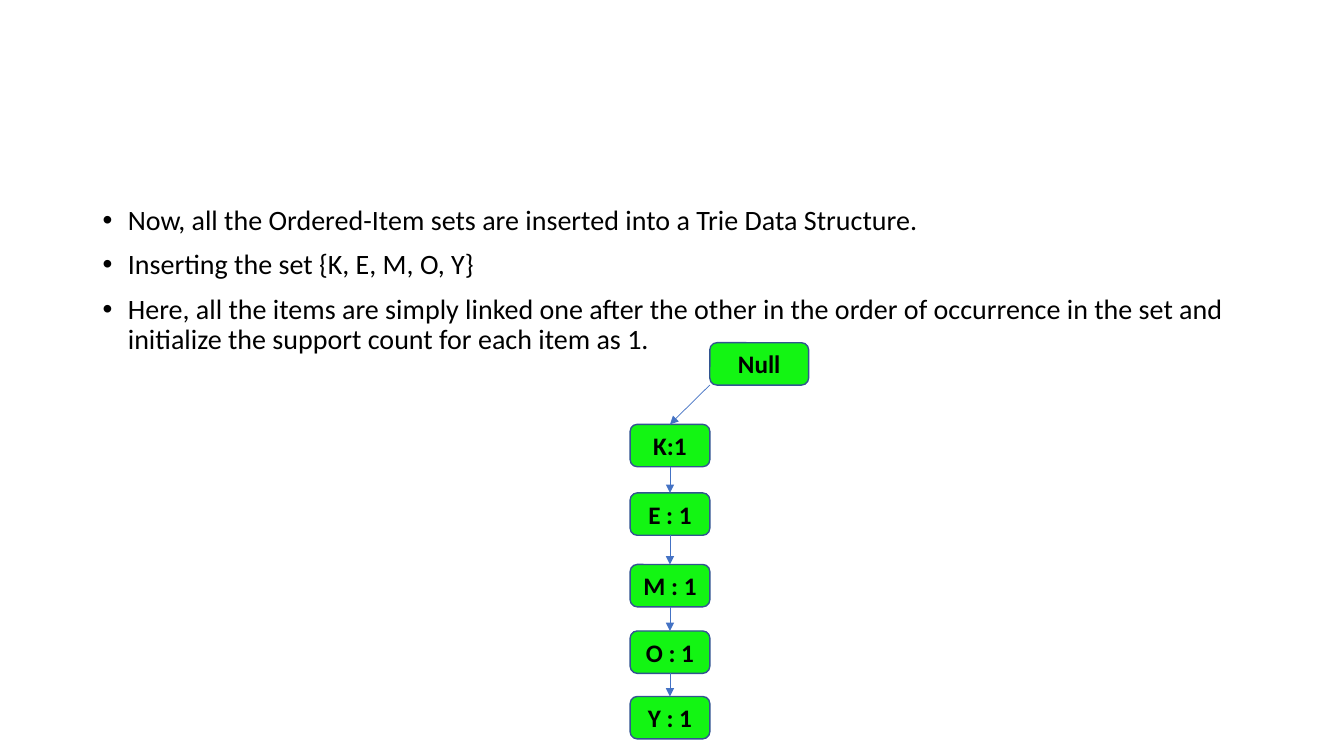
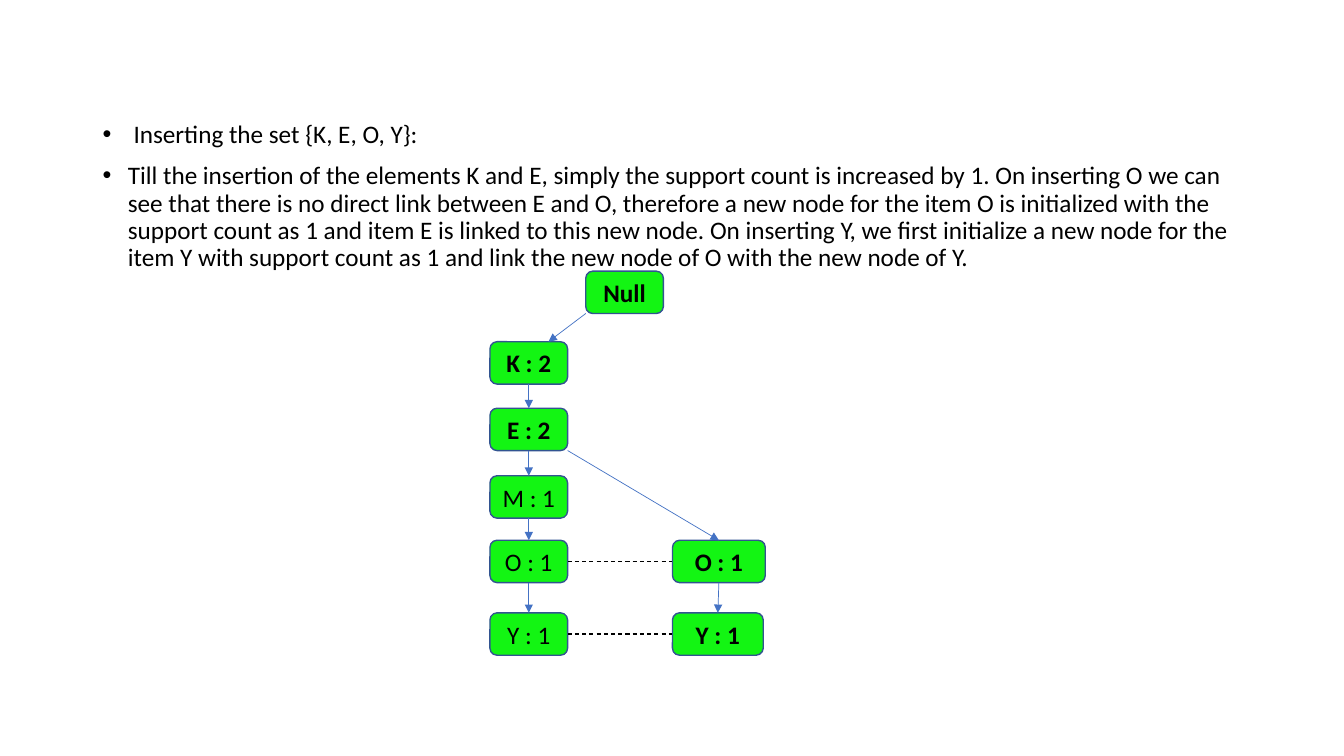
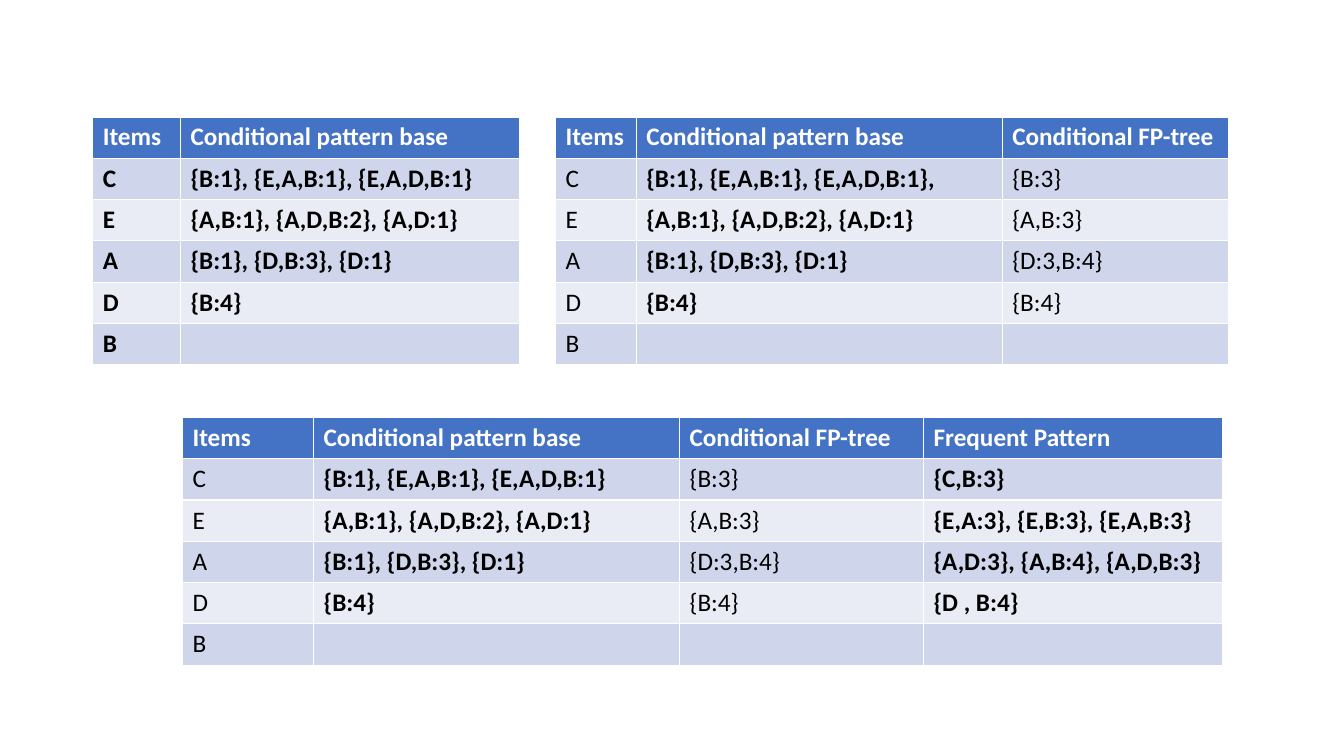
from lxml.etree import SubElement as Sub
from pptx import Presentation
from pptx.dml.color import RGBColor
from pptx.enum.dml import MSO_LINE
from pptx.enum.shapes import MSO_CONNECTOR as CONN, MSO_SHAPE as SHAPE
from pptx.enum.text import MSO_ANCHOR as ANCHOR, PP_ALIGN as ALIGN
from pptx.oxml.ns import qn
from pptx.util import Pt

PX = 9144  # 100 px to the inch
FONT = "Calibri"
BLACK = RGBColor(0x00, 0x00, 0x00)
WHITE = RGBColor(0xFF, 0xFF, 0xFF)
GREEN = RGBColor(0x13, 0xF5, 0x13)
EDGE = RGBColor(0x32, 0x54, 0x91)
BLUE = RGBColor(0x44, 0x72, 0xC4)
BANDS = [RGBColor(0xE9, 0xEB, 0xF5), RGBColor(0xCF, 0xD5, 0xEA)]
TOP, LEFT, BOTTOM, RIGHT = range(4)
NODE_H = 42


def add_run(para, text, size=18, bold=False, color=BLACK):
    run = para.add_run()
    run.text = text
    font = run.font
    font.name, font.size, font.bold = FONT, Pt(size), bold
    font.color.rgb = color


def link(slide, nodes, start, end, dashed=False):
    """Join two ends, each a (node name, side) or an (x, y) point in px."""
    points = [(0, 0) if p[0] in nodes else p for p in (start, end)]
    line = slide.shapes.add_connector(
        CONN.STRAIGHT, *[v * PX for p in points for v in p])
    if start[0] in nodes:
        line.begin_connect(nodes[start[0]], start[1])
    if end[0] in nodes:
        line.end_connect(nodes[end[0]], end[1])
    line.line.color.rgb = BLACK if dashed else BLUE
    line.line.width = Pt(0.75 if dashed else 0.5)
    if dashed:
        line.line.dash_style = MSO_LINE.DASH
    else:
        Sub(line.line._get_or_add_ln(), qn("a:tailEnd"), type="triangle")
    Sub(line._element.spPr, qn("a:effectLst"))


prs = Presentation()
prs.slide_width, prs.slide_height = 1333 * PX, 750 * PX
blank = prs.slide_layouts[6]

# Tree slides: nodes are name: (label, x, y, width, bold)
trees = [
    dict(
        top=200, size=20,
        points=[
            "Now, all the Ordered-Item sets are inserted into a Trie Data Structure.",
            "Inserting the set {K, E, M, O, Y}",
            "Here, all the items are simply linked one after the other in the order "
            "of occurrence in the set and initialize the support count for each item as 1.",
        ],
        nodes={
            "Null": ("Null", 704, 340, 98, True),
            "K": ("K:1", 625, 421, 79, True),
            "E": ("E : 1", 625, 489, 79, True),
            "M": ("M : 1", 625, 560, 79, True),
            "O": ("O : 1", 625, 626, 79, True),
            "Y": ("Y : 1", 625, 691, 79, True),
        },
        arrows=[((704, 382), ("K", TOP))],
        dashes=[],
    ),
    dict(
        top=116, size=18,
        points=[
            " Inserting the set {K, E, O, Y}:",
            "Till the insertion of the elements K and E, simply the support count is "
            "increased by 1. On inserting O we can see that there is no direct link "
            "between E and O, therefore a new node for the item O is initialized with "
            "the support count as 1 and item E is linked to this new node. On inserting "
            "Y, we first initialize a new node for the item Y with support count as 1 "
            "and link the new node of O with the new node of Y.",
        ],
        nodes={
            "Null": ("Null", 581, 269, 77, True),
            "K": ("K : 2", 486, 339, 77, True),
            "E": ("E : 2", 486, 405, 77, True),
            "M": ("M : 1", 486, 472, 77, False),
            "O": ("O : 1", 486, 536, 77, False),
            "Y": ("Y : 1", 486, 608, 77, False),
            "New O": ("O : 1", 667, 536, 92, True),
            "New Y": ("Y : 1", 667, 608, 90, True),
        },
        arrows=[
            ((581, 311), (544, 339)),
            ((563, 447), ("New O", TOP)),
            (("New O", BOTTOM), ("New Y", TOP)),
        ],
        dashes=[(("O", RIGHT), ("New O", LEFT)), (("Y", RIGHT), ("New Y", LEFT))],
    ),
]

for tree in trees:
    slide = prs.slides.add_slide(blank)
    top = tree["top"]
    body = slide.shapes.add_textbox(92 * PX, top * PX, 1150 * PX, (676 - top) * PX)
    frame = body.text_frame
    frame.word_wrap = True
    for i, text in enumerate(tree["points"]):
        para = frame.add_paragraph() if i else frame.paragraphs[0]
        para.line_spacing, para.space_before = 0.9, Pt(10)
        props = para._p.get_or_add_pPr()
        props.set("marL", str(25 * PX))
        props.set("indent", str(-25 * PX))
        Sub(props, qn("a:buFont"), typeface="Arial")
        Sub(props, qn("a:buChar"), char="•")
        add_run(para, text, tree["size"])

    nodes = {}
    for name, (label, x, y, wide, bold) in tree["nodes"].items():
        box = slide.shapes.add_shape(
            SHAPE.ROUNDED_RECTANGLE, x * PX, y * PX, wide * PX, NODE_H * PX)
        box.shadow.inherit = False
        box.fill.solid()
        box.fill.fore_color.rgb = GREEN
        box.line.color.rgb, box.line.width = EDGE, Pt(1)
        box.text_frame.vertical_anchor = ANCHOR.MIDDLE
        para = box.text_frame.paragraphs[0]
        para.alignment = ALIGN.CENTER
        add_run(para, label, bold=bold)
        nodes[name] = box

    for upper, lower in zip("KEMO", "EMOY"):
        link(slide, nodes, (upper, BOTTOM), (lower, TOP))
    for start, end in tree["arrows"]:
        link(slide, nodes, start, end)
    for start, end in tree["dashes"]:
        link(slide, nodes, start, end, dashed=True)

# Table slide: each table shows the first columns of the same rows
ROW_H = 41
rows = [
    ("Items", "Conditional pattern base", "Conditional FP-tree", "Frequent Pattern"),
    ("C", "{B:1}, {E,A,B:1}, {E,A,D,B:1}", "{B:3}", "{C,B:3}"),
    ("E", "{A,B:1}, {A,D,B:2}, {A,D:1}", "{A,B:3}", "{E,A:3}, {E,B:3}, {E,A,B:3}"),
    ("A", "{B:1}, {D,B:3}, {D:1}", "{D:3,B:4}", "{A,D:3}, {A,B:4}, {A,D,B:3}"),
    ("D", "{B:4}", "{B:4}", "{D , B:4}"),
    ("B", "", "", ""),
]
# x, y, column widths, bold columns, end of the pattern base of C
tables = [
    (92, 116, [87, 336], {0, 1}, ""),
    (551, 116, [80, 363, 225], {1}, ","),
    (181, 414, [130, 363, 242, 297], {1, 3}, ""),
]

slide = prs.slides.add_slide(blank)
for x, y, widths, strong, tail in tables:
    table = slide.shapes.add_table(
        len(rows), len(widths), x * PX, y * PX,
        sum(widths) * PX, len(rows) * ROW_H * PX).table
    for c, wide in enumerate(widths):
        table.columns[c].width = wide * PX
        for r, row in enumerate(rows):
            cell = table.cell(r, c)
            cell.fill.solid()
            cell.fill.fore_color.rgb = BANDS[r % 2] if r else BLUE
            text = row[c] + (tail if (r, c) == (1, 1) else "")
            if text:
                add_run(cell.text_frame.paragraphs[0], text,
                        bold=r == 0 or c in strong, color=BLACK if r else WHITE)

prs.save("out.pptx")
